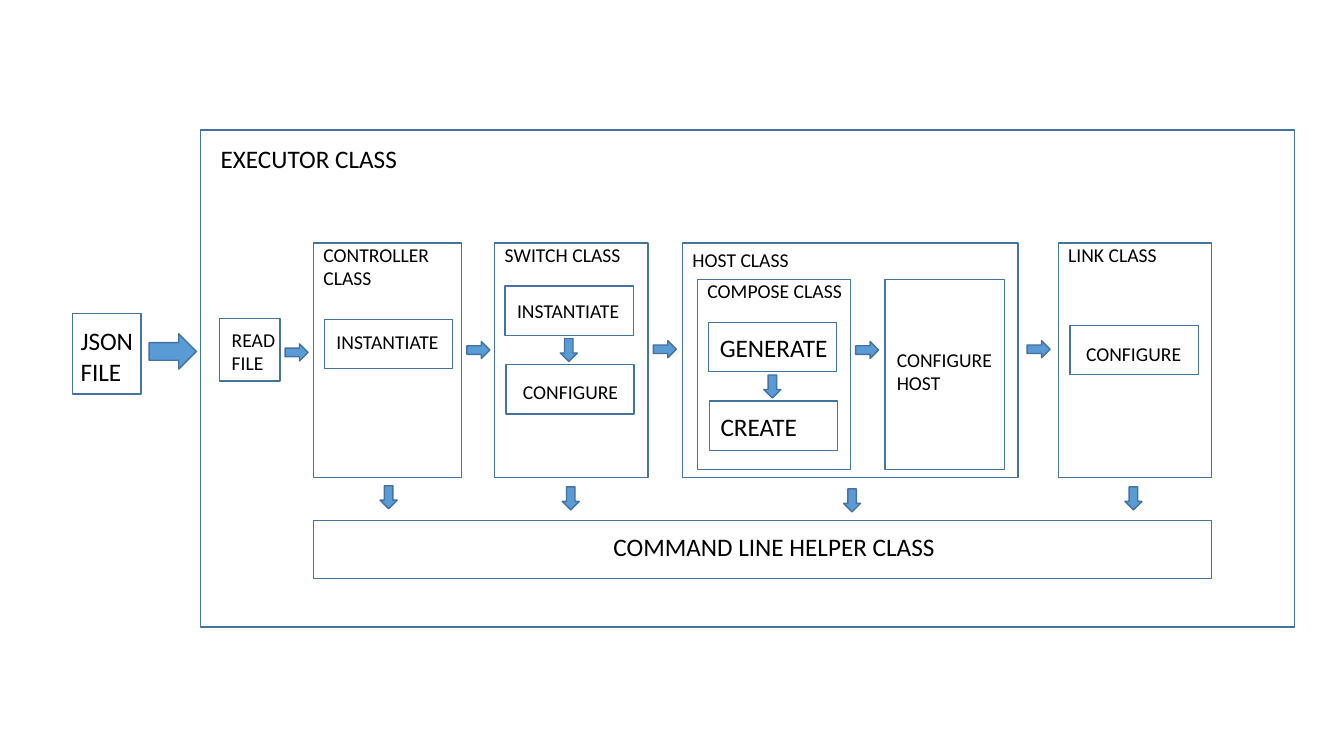
from pptx import Presentation
from pptx.dml.color import RGBColor
from pptx.enum.shapes import MSO_SHAPE
from pptx.enum.text import MSO_AUTO_SIZE
from pptx.util import Cm, Pt

RECT = MSO_SHAPE.RECTANGLE
DOWN_ARROW = MSO_SHAPE.DOWN_ARROW
FIT_TEXT = MSO_AUTO_SIZE.SHAPE_TO_FIT_TEXT
BLACK = RGBColor(0x00, 0x00, 0x00)
BLUE = RGBColor(0x5B, 0x9B, 0xD5)
DARK_BLUE = RGBColor(0x43, 0x73, 0x9E)
FONT = "Calibri"
TEXT_HEIGHTS = {(14, 1): 0.86, (14, 2): 1.45, (18, 1): 1.02, (18, 2): 1.8}
PANEL_TOP, PANEL_H = 6.12, 5.92
INNER_TOP, INNER_H = 7.04, 4.8
STEP_W, STEP_H = 3.23, 1.24
RIGHT = 270


def add_outlined(s, kind, x, y, w, h):
    """Add a preset shape with the common outline and no shadow."""
    sp = s.shapes.add_shape(kind, Cm(x), Cm(y), Cm(w), Cm(h))
    sp.shadow.inherit = False
    sp.line.color.rgb = DARK_BLUE
    sp.line.width = Pt(1)
    return sp


def add_box(s, x, y, w, h):
    """Add an unfilled rectangle."""
    add_outlined(s, RECT, x, y, w, h).fill.background()


def add_arrow(s, x, y, rotation=0, w=0.43, h=0.58):
    """Add a blue block arrow that points down unless rotated."""
    sp = add_outlined(s, DOWN_ARROW, x, y, w, h)
    sp.fill.solid()
    sp.fill.fore_color.rgb = BLUE
    sp.rotation = rotation


def add_label(s, text, x, y, w, size=14, lines=None):
    """Add a text box with one paragraph per line of text."""
    parts = text.split("\n")
    h = TEXT_HEIGHTS[size, lines or len(parts)]
    tf = s.shapes.add_textbox(Cm(x), Cm(y), Cm(w), Cm(h)).text_frame
    tf.word_wrap = True
    tf.auto_size = FIT_TEXT
    tf.text = text
    for p in tf.paragraphs:
        p.font.name = FONT
        p.font.size = Pt(size)
        p.font.color.rgb = BLACK


def add_panel(s, title, x, w, y=PANEL_TOP, h=PANEL_H, rise=0.13):
    """Add a class frame with its title at the top left."""
    add_box(s, x, y, w, h)
    add_label(s, title, x, y - rise, 4.65)


def add_step(s, text, x, y, dx, dy, size=14):
    """Add a step box with its label offset from the corner."""
    add_box(s, x, y, STEP_W, STEP_H)
    add_label(s, text, x + dx, y + dy, 4.01 if size == 14 else 3.43, size)


def main():
    """Build the class diagram and save it."""
    prs = Presentation()
    prs.slide_width, prs.slide_height = Cm(33.87), Cm(19.05)
    s = prs.slides.add_slide(prs.slide_layouts[6])

    add_box(s, 5.05, 3.28, 27.58, 12.52)
    add_label(s, "EXECUTOR CLASS", 5.31, 3.48, 5.77, 18)
    add_box(s, 1.83, 7.9, 1.73, 2.03)
    add_label(s, "JSON\nFILE", 1.78, 8.08, 2.51, 18)
    add_arrow(s, 3.91, 8.26, RIGHT, 0.89, 1.19)
    add_box(s, 5.54, 8.03, 1.52, 1.57)
    add_label(s, "READ\nFILE", 5.59, 8.13, 2.26)
    add_box(s, 7.9, 13.11, 22.63, 1.47)
    add_label(s, "COMMAND LINE HELPER CLASS", 15.21, 13.26, 8.92, 18)

    add_panel(s, "CONTROLLER \nCLASS", 7.9, 3.73)
    add_panel(s, "SWITCH CLASS", 12.47, 3.86)
    add_panel(s, "HOST CLASS", 17.2, 8.46, rise=0)
    add_panel(s, "LINK CLASS", 26.67, 3.86)
    add_panel(s, "COMPOSE CLASS", 17.58, 3.86, INNER_TOP, INNER_H)
    add_box(s, 22.3, INNER_TOP, 3.02, INNER_H)
    add_label(s, "CONFIGURE HOST", 22.35, 8.64, 4.01, lines=2)

    add_step(s, "INSTANTIATE", 8.18, 8.05, 0.05, 0.13)
    add_step(s, "INSTANTIATE", 12.73, 7.21, 0.05, 0.21)
    add_step(s, "CONFIGURE", 12.75, 9.19, 0.18, 0.26)
    add_step(s, "GENERATE", 17.86, 8.13, 0.03, 0.12, 18)
    add_step(s, "CREATE", 17.88, 10.11, 0.03, 0.12, 18)
    add_step(s, "CONFIGURE", 26.97, 8.2, 0.15, 0.28)

    for x, y in [(9.58, 12.24), (14.17, 12.27), (21.26, 12.32),
                 (28.35, 12.27), (14.12, 8.53), (19.25, 9.45)]:
        add_arrow(s, x, y)
    for x, y in [(7.26, 8.59), (11.84, 8.53), (16.54, 8.51),
                 (21.64, 8.53), (25.96, 8.51)]:
        add_arrow(s, x, y, RIGHT)

    prs.save("out.pptx")


main()
